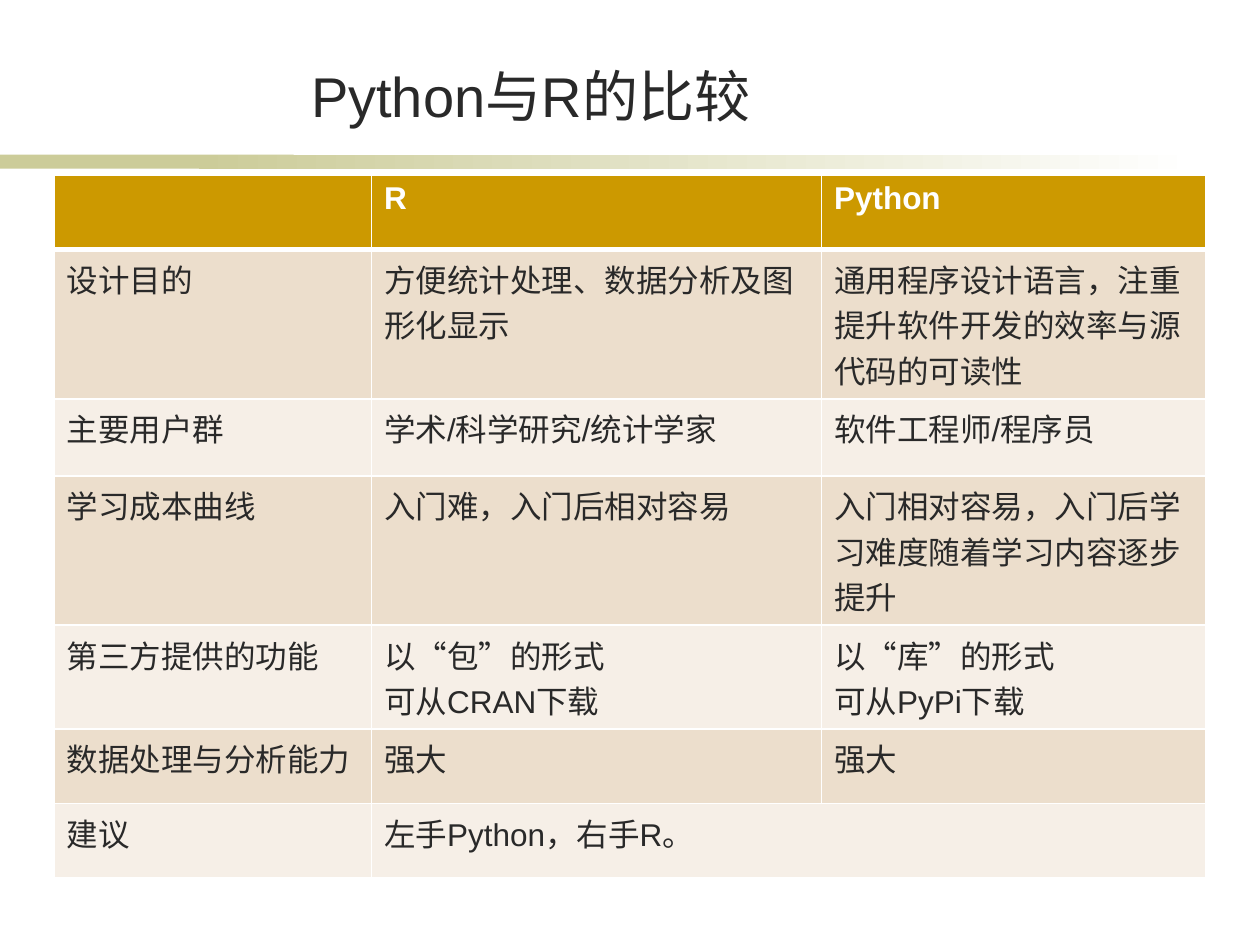
from lxml import etree
from pptx import Presentation
from pptx.dml.color import RGBColor
from pptx.enum.shapes import MSO_SHAPE
from pptx.enum.text import MSO_ANCHOR, MSO_AUTO_SIZE, PP_ALIGN
from pptx.oxml.ns import qn
from pptx.util import Cm, Pt

RECT = MSO_SHAPE.RECTANGLE
BOTTOM = MSO_ANCHOR.BOTTOM
FIXED = MSO_AUTO_SIZE.NONE
CENTER = PP_ALIGN.CENTER

FONT = "Arial"
INK, WHITE, SAGE, GOLD = "292929", "FFFFFF", "CCCC99", "CC9900"
BANDS = ["F6EFE7", "ECDECC"]
COLS = [6.4, 9.07, 7.75]
ROWS = [
    (1.5, ["", "R", "Python"]),
    (2.87, ["设计目的", "方便统计处理、数据分析及图形化显示",
            "通用程序设计语言，注重提升软件开发的效率与源代码的可读性"]),
    (1.55, ["主要用户群", "学术/科学研究/统计学家", "软件工程师/程序员"]),
    (2.54, ["学习成本曲线", "入门难，入门后相对容易",
            "入门相对容易，入门后学习难度随着学习内容逐步提升"]),
    (1.78, ["第三方提供的功能", "以“包”的形式\n可从CRAN下载",
            "以“库”的形式\n可从PyPi下载"]),
    (1.5, ["数据处理与分析能力", "强大", "强大"]),
    (1.5, ["建议", "左手Python，右手R。", ""]),
]


def color(code):
    return RGBColor.from_string(code)


def style(frame, size, code, bold=False):
    for para in frame.paragraphs:
        for run in para.runs:
            font = run.font
            font.name, font.size, font.bold = FONT, Pt(size), bold
            font.color.rgb = color(code)


def add_title(slide, left, top, width, height):
    title = slide.shapes.title
    title.left, title.top = Cm(left), Cm(top)
    title.width, title.height = Cm(width), Cm(height)
    frame = title.text_frame
    frame.text = "Python与R的比较"
    frame.auto_size = FIXED
    frame.vertical_anchor = BOTTOM
    frame.paragraphs[0].alignment = CENTER
    style(frame, 32, INK)


def add_strip(slide, left, top, width, height):
    strip = slide.shapes.add_shape(
        RECT, Cm(left), Cm(top), Cm(width), Cm(height))
    strip.shadow.inherit = False
    strip.line.fill.background()
    return strip.fill


def add_bar(slide, left, top, width, height):
    start = 4.01
    solid = add_strip(slide, left, top, 5.92, height)
    solid.solid()
    solid.fore_color.rgb = color(SAGE)
    fade = add_strip(slide, left + start, top, width - start, height)
    fade.gradient()
    fade.gradient_angle = 0
    for stop, code in zip(fade.gradient_stops, [SAGE, WHITE]):
        stop.color.rgb = color(code)


def add_edges(cell, top, bottom):
    props = cell._tc.get_or_add_tcPr()
    edges = [("L", 1), ("R", 1), ("T", top), ("B", bottom)]
    for spot, (side, width) in enumerate(edges):
        line = etree.Element(qn(f"a:ln{side}"), w=str(Pt(width)))
        fill = etree.SubElement(line, qn("a:solidFill"))
        etree.SubElement(fill, qn("a:srgbClr"), val=WHITE)
        props.insert(spot, line)


def add_grid(slide, left, top, width, height):
    table = slide.shapes.add_table(
        len(ROWS), len(COLS), Cm(left), Cm(top), Cm(width), Cm(height)).table
    for col, size in zip(table.columns, COLS):
        col.width = Cm(size)
    for r, (size, texts) in enumerate(ROWS):
        head = r == 0
        table.rows[r].height = Cm(size)
        for c, text in enumerate(texts):
            cell = table.cell(r, c)
            cell.text_frame.text = text
            style(cell.text_frame, 18, WHITE if head else INK, head)
            add_edges(cell, 3 if r == 1 else 1, 3 if head else 1)
            cell.fill.solid()
            cell.fill.fore_color.rgb = color(GOLD if head else BANDS[r % 2])
    last = len(ROWS) - 1
    table.cell(last, 1).merge(table.cell(last, 2))


def main():
    deck = Presentation()
    deck.slide_width, deck.slide_height = Cm(25.4), Cm(19.05)
    slide = deck.slides.add_slide(deck.slide_layouts[5])
    add_bar(slide, 0, 3.12, 24.13, 0.28)
    add_title(slide, 2.9, 1.12, 15.6, 1.6)
    add_grid(slide, 1.09, 3.53, sum(COLS), sum(size for size, _ in ROWS))
    deck.save("out.pptx")


if __name__ == "__main__":
    main()
